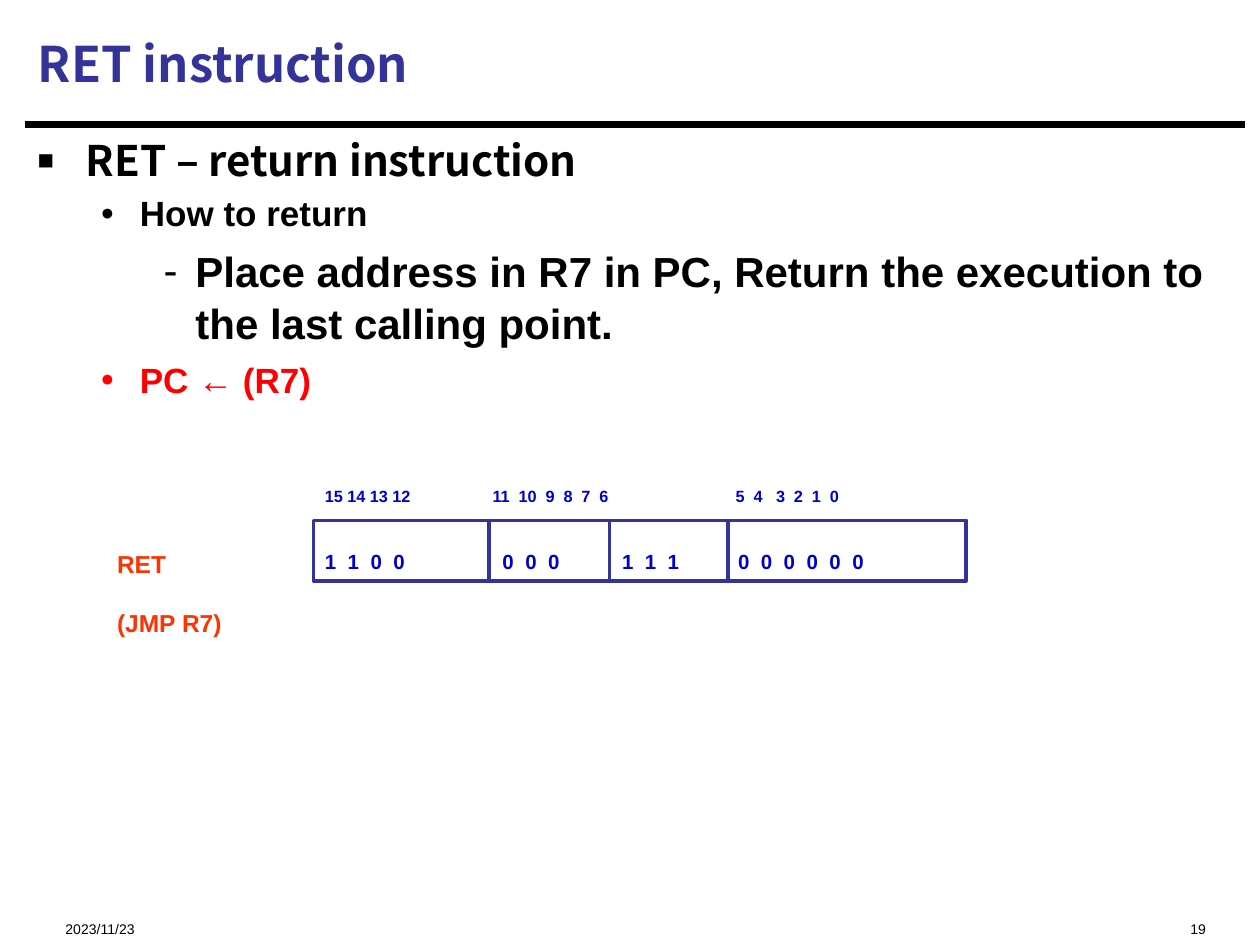
from lxml import etree
from pptx import Presentation
from pptx.dml.color import RGBColor
from pptx.enum.shapes import MSO_CONNECTOR, MSO_SHAPE
from pptx.enum.text import MSO_ANCHOR, PP_ALIGN
from pptx.oxml.ns import qn
from pptx.util import Cm, Pt

LEFT, RIGHT = PP_ALIGN.LEFT, PP_ALIGN.RIGHT
TOP, MIDDLE = MSO_ANCHOR.TOP, MSO_ANCHOR.MIDDLE
STRAIGHT = MSO_CONNECTOR.STRAIGHT
RECTANGLE = MSO_SHAPE.RECTANGLE

THEME = {
    "heading_font": "Noto Sans CJK SC", "body_font": "Arial",
    "black": "000000", "title": "333399", "bits": "0000CC",
    "name": "FF3300", "accent": "FF0000",
    "title_size": 28, "large": 24, "medium": 20,
    "name_size": 14, "bits_size": 11.7, "index_size": 9.3, "footer_size": 8,
}


def write_text(shape, lines, size, color="black", font="body_font", bold=True,
               align=LEFT, anchor=TOP, inset_top=0.13, space=0, wrap=True):
    """Fill the shape with one paragraph per line; space goes between them."""
    frame = shape.text_frame
    frame.word_wrap = wrap
    frame.vertical_anchor = anchor
    frame.margin_left = frame.margin_right = Cm(0.25)
    frame.margin_top, frame.margin_bottom = Cm(inset_top), Cm(0)
    for index, line in enumerate(lines):
        paragraph = frame.paragraphs[0] if index == 0 else frame.add_paragraph()
        paragraph.alignment = align
        paragraph.space_before = Pt(space if index else 0)
        run = paragraph.add_run()
        run.text = line
        run.font.name, run.font.size = THEME[font], Pt(THEME[size])
        run.font.bold = bold
        run.font.color.rgb = RGBColor.from_string(THEME[color])
    return frame.paragraphs


def add_line(slide, start, end, color, width):
    line = slide.shapes.add_connector(STRAIGHT, *(Cm(value) for value in start + end))
    line.line.color.rgb = RGBColor.from_string(THEME[color])
    line.line.width = Pt(width)
    etree.SubElement(line._element.spPr, qn("a:effectLst"))


presentation = Presentation()
presentation.slide_width, presentation.slide_height = Cm(25.4), Cm(19.05)
slide = presentation.slides.add_slide(presentation.slide_layouts[5])

# Title and rule
title = slide.shapes.title
title.left, title.top, title.width, title.height = Cm(0.51), Cm(0.2), Cm(24.56), Cm(2.13)
write_text(title, ["RET instruction"], "title_size", "title", "heading_font",
           anchor=MIDDLE, inset_top=0)
add_line(slide, (0.51, 2.51), (25.1, 2.51), "black", 3.75)

# Bulleted text: text, size, colour, font, space before, line spacing, bullet, level
bullets = [
    ("RET – return instruction", "large", "black", "heading_font", 0, 1, "■", 0),
    ("How to return", "medium", "black", "body_font", 3.5, 1, "●", 1),
    ("Place address in R7 in PC, Return the execution to the last calling point.",
     "large", "black", "body_font", 6.3, 1.03, "-", 2),
    ("PC ← (R7)", "medium", "accent", "body_font", 5.7, 1, "●", 1),
]
levels = [(0.97, 0.97, 65), (2.06, 0.79, 65), (3.18, 0.64, 100)]
body = slide.shapes.add_textbox(Cm(0.51), Cm(2.72), Cm(24.56), Cm(15.21))
paragraphs = write_text(body, [bullet[0] for bullet in bullets], "large", inset_top=0)
for paragraph, bullet in zip(paragraphs, bullets):
    text, size, color, font, space, spacing, symbol, level = bullet
    run_font = paragraph.runs[0].font
    run_font.size, run_font.name = Pt(THEME[size]), THEME[font]
    run_font.color.rgb = RGBColor.from_string(THEME[color])
    paragraph.level = level
    paragraph.space_before, paragraph.line_spacing = Pt(space), spacing
    margin, hanging, percent = levels[level]
    properties = paragraph._p.get_or_add_pPr()
    properties.set("marL", str(Cm(margin)))
    properties.set("indent", str(-Cm(hanging)))
    etree.SubElement(properties, qn("a:buSzPct"), val=str(percent * 1000))
    etree.SubElement(properties, qn("a:buFont"), typeface=THEME["body_font"])
    etree.SubElement(properties, qn("a:buChar"), char=symbol)

# Instruction word with its field dividers
word_top, word_height = 10.49, 1.22
word = slide.shapes.add_shape(RECTANGLE, Cm(6.32), Cm(word_top), Cm(13.16), Cm(word_height))
word.shadow.inherit = False
word.fill.background()
word.line.color.rgb = RGBColor.from_string(THEME["title"])
word.line.width = Pt(2)
for x in (9.86, 12.29, 14.68):
    add_line(slide, (x, word_top + word_height), (x, word_top), "title", 2)

# Field values and bit numbers
for text, left, width in [("1  1  0  0", 6.3, 3.4), ("0  0  0", 9.88, 3.25),
                          ("1  1  1", 12.29, 3.25), ("0  0  0  0  0  0", 14.63, 5.26)]:
    box = slide.shapes.add_textbox(Cm(left), Cm(word_top), Cm(width), Cm(1.09))
    write_text(box, [text], "bits_size", "bits", inset_top=0.64)
for text, left, width in [("15 14 13 12", 6.3, 3.61), ("11  10  9  8  7  6", 9.68, 5),
                          ("5  4   3  2  1  0", 14.58, 5)]:
    box = slide.shapes.add_textbox(Cm(left), Cm(9.35), Cm(width), Cm(0.94))
    write_text(box, [text], "index_size", "bits", inset_top=0.52)

name = slide.shapes.add_textbox(Cm(2.11), Cm(10.31), Cm(4.17), Cm(2.49))
write_text(name, ["RET", "(JMP R7)"], "name_size", "name", inset_top=0.75, space=17, wrap=False)

# Date and slide number
for text, left, width, align in [("2023/11/23", 1.07, 6.35, LEFT), ("19", 16.94, 7.62, RIGHT)]:
    box = slide.shapes.add_textbox(Cm(left), Cm(18.16), Cm(width), Cm(0.82))
    write_text(box, [text], "footer_size", bold=False, align=align, inset_top=0.46)

presentation.save("out.pptx")
